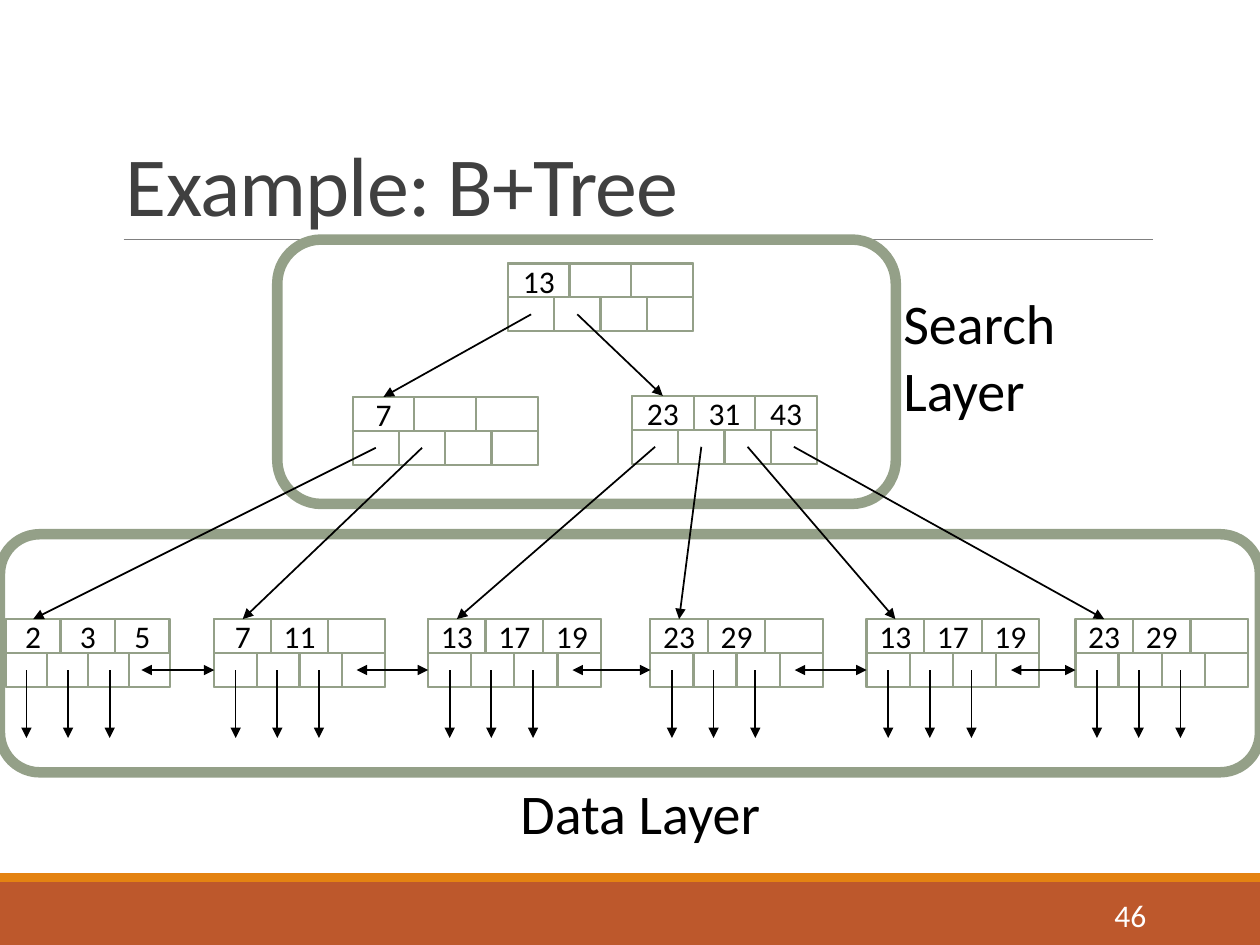
from dataclasses import dataclass

from lxml import etree
from pptx import Presentation
from pptx.dml.color import RGBColor
from pptx.enum.shapes import MSO_CONNECTOR, MSO_SHAPE
from pptx.enum.text import MSO_ANCHOR, PP_ALIGN
from pptx.oxml.ns import qn
from pptx.util import Cm, Pt

RECT, ROUND_RECT = MSO_SHAPE.RECTANGLE, MSO_SHAPE.ROUNDED_RECTANGLE
STRAIGHT = MSO_CONNECTOR.STRAIGHT
TOP, MIDDLE, BOTTOM = MSO_ANCHOR.TOP, MSO_ANCHOR.MIDDLE, MSO_ANCHOR.BOTTOM
LEFT, CENTER, RIGHT = PP_ALIGN.LEFT, PP_ALIGN.CENTER, PP_ALIGN.RIGHT

FONT = "Calibri"
WHITE, BLACK, SAGE = "FFFFFF", "000000", "94A088"
KEYS, SLOTS = 3, 4
ROW = 0.685  # height of the key row and of the pointer row
INNER_WIDTH = 3.73
LEAF_TOP = 12.48

# Left, width and keys of each leaf
LEAVES = [
    (0.12, 3.3, ["2", "3", "5"]),
    (4.32, 3.44, ["7", "11"]),
    (8.63, 3.48, ["13", "17", "19"]),
    (13.11, 3.48, ["23", "29"]),
    (17.47, 3.48, ["13", "17", "19"]),
    (21.68, 3.48, ["23", "29"]),
]


@dataclass
class Node:
    left: float
    top: float
    width: float
    keys: list

    @property
    def right(self):
        return self.left + self.width

    @property
    def slot_middle(self):
        return self.top + 1.5 * ROW

    def slot(self, index):
        """Centre of a pointer slot."""
        return self.left + (index + 0.5) * self.width / SLOTS, self.slot_middle

    def entry(self):
        """Point above the first key, where the parent's arrow ends."""
        return self.left + self.width / KEYS / 2, self.top


def color(value):
    return RGBColor.from_string(value)


def write(frame, lines, size, ink, align, anchor):
    frame.word_wrap = True
    frame.vertical_anchor = anchor
    for index, line in enumerate(lines):
        para = frame.paragraphs[0] if index == 0 else frame.add_paragraph()
        para.text = line
        para.alignment = align
        para.font.name = FONT
        para.font.size = Pt(size)
        para.font.color.rgb = color(ink)


def add_label(page, box, lines, size, ink=BLACK, align=LEFT, anchor=TOP):
    label = page.shapes.add_textbox(*map(Cm, box))
    write(label.text_frame, lines, size, ink, align, anchor)
    return label


def add_box(shapes, kind, box, fill, line=None, weight=1.25):
    shape = shapes.add_shape(kind, *map(Cm, box))
    shape.shadow.inherit = False
    shape.fill.solid()
    shape.fill.fore_color.rgb = color(fill)
    if line:
        shape.line.color.rgb = color(line)
        shape.line.width = Pt(weight)
    else:
        shape.line.fill.background()
    return shape


def add_line(page, start, end, heads=(), ink=BLACK, weight=1):
    line = page.shapes.add_connector(STRAIGHT, *map(Cm, (*start, *end)))
    line.line.color.rgb = color(ink)
    line.line.width = Pt(weight)
    outline = line.line._get_or_add_ln()
    for head in heads:
        etree.SubElement(outline, qn("a:" + head), type="triangle")
    etree.SubElement(line._element.spPr, qn("a:effectLst"))


def add_frame(page):
    """Footer bars, rule under the title, title and page number."""
    add_box(page.shapes, RECT, (0, 17.78, 25.4, 1.27), "BD582C")
    add_box(page.shapes, RECT, (0, 17.6, 25.4, 0.18), "E48312")
    add_line(page, (2.49, 4.83), (23.24, 4.83), ink="808080", weight=0.5)


def add_heading(page):
    title = add_label(page, (2.29, 0.79, 20.95, 4.04), ["Example: B+Tree"],
                      48, "404040", anchor=BOTTOM)
    para = title.text_frame.paragraphs[0]
    para.line_spacing = 0.85
    para.runs[0].font._element.set("spc", "-50")
    add_label(page, (20.62, 17.93, 2.74, 1.02), ["46"], 18, WHITE, RIGHT, MIDDLE)


def draw_node(page, node):
    """Outer box, a row of pointer slots below, a row of keys above."""
    shapes = page.shapes.add_group_shape().shapes
    add_box(shapes, RECT, (node.left, node.top, node.width, 2 * ROW), WHITE, SAGE)
    slot_width, key_width = node.width / SLOTS, node.width / KEYS
    for index in range(SLOTS):
        add_box(shapes, RECT, (node.left + index * slot_width, node.top + ROW,
                               slot_width, ROW), WHITE, SAGE)
    for index in range(KEYS):
        cell = add_box(shapes, RECT, (node.left + index * key_width, node.top,
                                      key_width, ROW), WHITE, SAGE)
        if index < len(node.keys):
            frame = cell.text_frame
            frame.margin_left = frame.margin_right = 0
            frame.margin_top = frame.margin_bottom = 0
            write(frame, [node.keys[index]], 18, BLACK, CENTER, MIDDLE)


def link_children(page, parent, children):
    for index, child in enumerate(children):
        add_line(page, parent.slot(index), child.entry(), ["tailEnd"])


def draw_tree(page):
    root = Node(10.24, 5.31, INNER_WIDTH, ["13"])
    low = Node(7.11, 8, INNER_WIDTH, ["7"])
    high = Node(12.74, 7.98, INNER_WIDTH, ["23", "31", "43"])
    leaves = [Node(left, LEAF_TOP, width, keys) for left, width, keys in LEAVES]
    for node in [root, low, high, *leaves]:
        draw_node(page, node)

    # Pointers from parents to children
    link_children(page, root, [low, high])
    link_children(page, low, leaves[:2])
    link_children(page, high, leaves[2:])

    # Two-way links between neighbouring leaves
    for leaf, following in zip(leaves, leaves[1:]):
        add_line(page, (leaf.right - 0.57, leaf.slot_middle),
                 (following.left, following.slot_middle), ["headEnd", "tailEnd"])

    # Pointers from leaves to the records
    for leaf in leaves:
        first, top = leaf.slot(0)
        for index in range(KEYS):
            left = first + index * 0.84
            add_line(page, (left, top), (left, top + 1.37), ["tailEnd"])


def main():
    deck = Presentation()
    deck.slide_width, deck.slide_height = Cm(25.4), Cm(19.05)
    page = deck.slides.add_slide(deck.slide_layouts[6])

    add_frame(page)
    # Data layer and search layer
    add_box(page.shapes, ROUND_RECT, (0, 10.77, 25.4, 4.8), WHITE, SAGE, 6)
    add_box(page.shapes, ROUND_RECT, (5.59, 4.83, 12.47, 5.33), WHITE, SAGE, 6)
    add_heading(page)
    draw_tree(page)
    add_label(page, (17.96, 5.69, 5.23, 3), ["Search", "Layer"], 32)
    add_label(page, (10.24, 15.57, 5.49, 1.62), ["Data Layer"], 32)
    deck.save("out.pptx")


if __name__ == "__main__":
    main()
